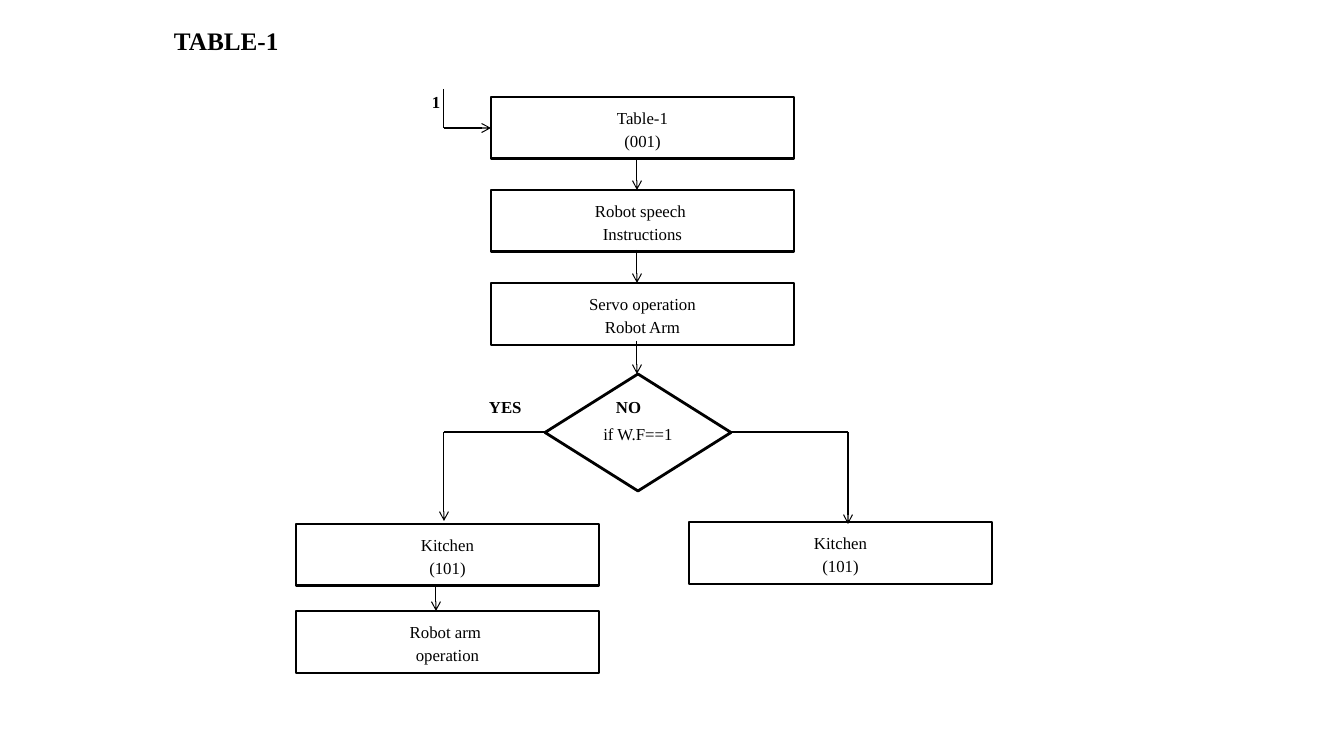
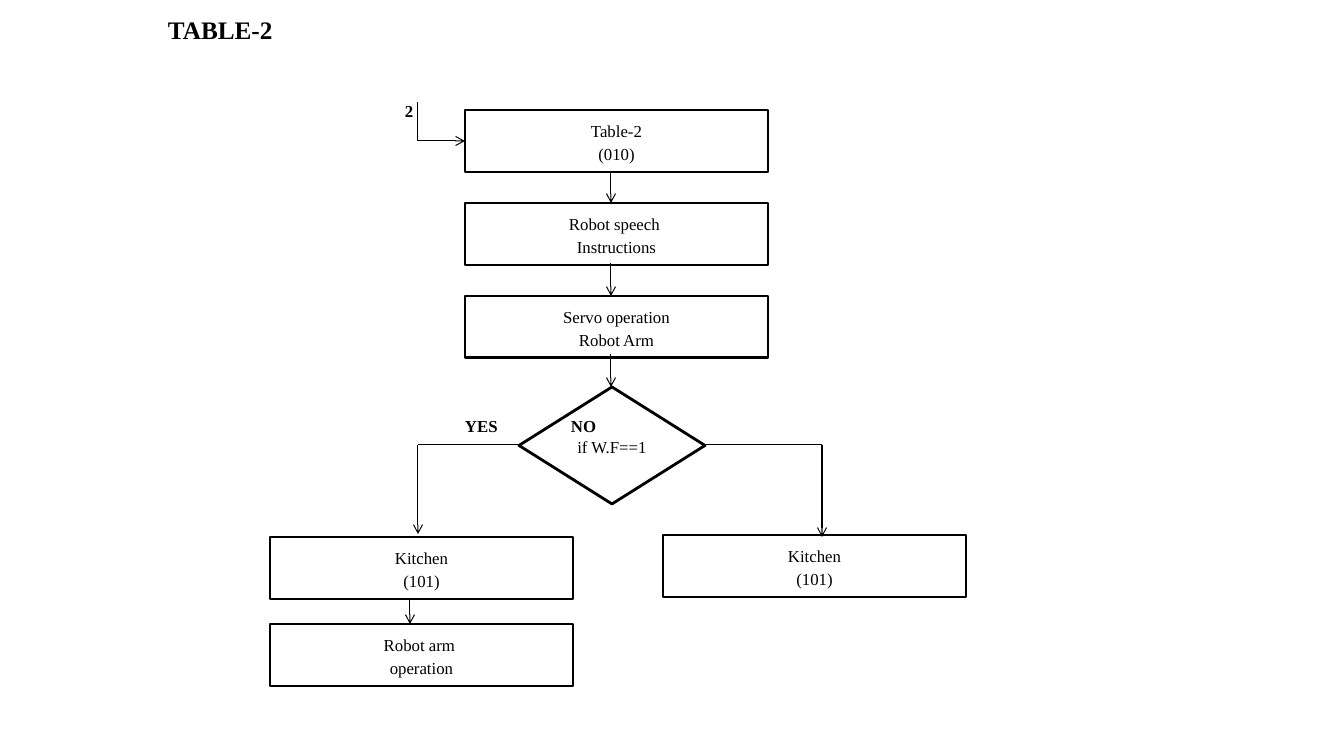
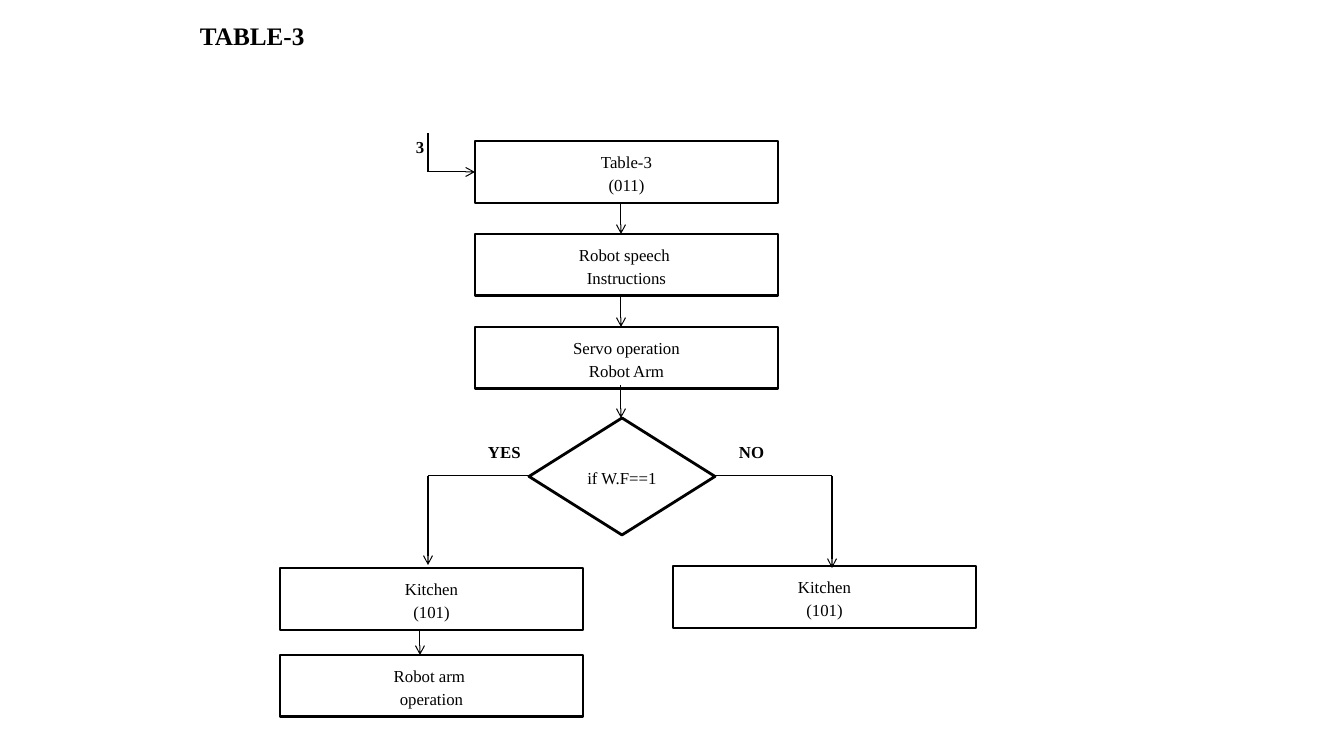
from lxml import etree
from pptx import Presentation
from pptx.dml.color import RGBColor
from pptx.enum.shapes import MSO_CONNECTOR, MSO_SHAPE
from pptx.enum.text import MSO_ANCHOR, PP_ALIGN
from pptx.oxml.ns import qn
from pptx.util import Pt

PX = 9071  # EMU in one px, at 100.8 px to the inch
INK, PAPER = "000000", "FFFFFF"
FONT = "Times New Roman"
CENTER, LEFT = PP_ALIGN.CENTER, PP_ALIGN.LEFT
MIDDLE = MSO_ANCHOR.MIDDLE
STRAIGHT = MSO_CONNECTOR.STRAIGHT
PROCESS, DECISION = MSO_SHAPE.RECTANGLE, MSO_SHAPE.FLOWCHART_DECISION

BOX_W, BOX_H, STEP = 303, 62, 93
DIAMOND_W, DIAMOND_H = 186, 117
LABEL_W, LABEL_H = 45, 19
TITLE_W, TITLE_H = 125, 28

# Chart coordinates are relative to the top left corner of the first box.
ENTRY_X, ENTRY_Y = -47, 31
TRUNK_X, NO_X, ARM_X = 146, 357, -55
DIAMOND_X, DIAMOND_Y = 54, 277
BRANCH_Y = DIAMOND_Y + DIAMOND_H // 2
YES_BOX_X, YES_BOX_Y = -195, 427
NO_BOX_X, NO_BOX_Y = 198, 425
ARM_Y = 514

ARROWS = [
    (ENTRY_X, ENTRY_Y, 0, ENTRY_Y),
    (TRUNK_X, BOX_H, TRUNK_X, STEP),
    (TRUNK_X, STEP + BOX_H - 2, TRUNK_X, 2 * STEP),
    (TRUNK_X, 2 * STEP + BOX_H - 4, TRUNK_X, DIAMOND_Y),
    (ENTRY_X, BRANCH_Y, ENTRY_X, YES_BOX_Y - 3),
    (NO_X, BRANCH_Y, NO_X, NO_BOX_Y + 2),
    (ARM_X, YES_BOX_Y + BOX_H, ARM_X, ARM_Y),
]
PLAIN_LINES = [
    (ENTRY_X, -8, ENTRY_X, ENTRY_Y),
    (DIAMOND_X + DIAMOND_W, BRANCH_Y, NO_X, BRANCH_Y),
    (ENTRY_X, BRANCH_Y, DIAMOND_X, BRANCH_Y),
]

# Slide coordinates: chart origin, then the left and top of each label.
TABLES = [
    dict(number="1", code="(001)", origin=(491, 97), title=(174, 26),
         entry=(432, 92), yes=(489, 397), no=(616, 397)),
    dict(number="2", code="(010)", origin=(465, 110), title=(168, 15),
         entry=(405, 101), yes=(465, 416), no=(571, 416)),
    dict(number="3", code="(011)", origin=(475, 141), title=(200, 21),
         entry=(416, 137), yes=(488, 442), no=(739, 442)),
]


def write_text(shape, lines, size=12, bold=False, align=LEFT, spacing=1.0,
               after=0, wrap=False, margin=None):
    frame = shape.text_frame
    frame.word_wrap = wrap
    frame.vertical_anchor = MIDDLE
    if margin is not None:
        frame.margin_left = frame.margin_right = margin
        frame.margin_top = frame.margin_bottom = margin
    for index, line in enumerate(lines):
        paragraph = frame.add_paragraph() if index else frame.paragraphs[0]
        paragraph.alignment = align
        paragraph.line_spacing = spacing
        paragraph.space_after = Pt(after)
        run = paragraph.add_run()
        run.text = line
        run.font.name = FONT
        run.font.size = Pt(size)
        run.font.bold = bold
        run.font.color.rgb = RGBColor.from_string(INK)


deck = Presentation()
deck.slide_width, deck.slide_height = 1344 * PX, 756 * PX
blank = deck.slide_layouts[6]

for table in TABLES:
    slide = deck.slides.add_slide(blank)
    origin_x, origin_y = table["origin"]

    nodes = [
        (DECISION, DIAMOND_X, DIAMOND_Y, ["if W.F==1"]),
        (PROCESS, 0, 0, ["Table-" + table["number"], table["code"]]),
        (PROCESS, 0, STEP, ["Robot speech ", "Instructions"]),
        (PROCESS, 0, 2 * STEP, ["Servo operation", "Robot Arm"]),
        (PROCESS, YES_BOX_X, YES_BOX_Y, ["Kitchen", "(101)"]),
        (PROCESS, NO_BOX_X, NO_BOX_Y, ["Kitchen", "(101)"]),
        (PROCESS, YES_BOX_X, ARM_Y, ["Robot arm ", "operation"]),
    ]
    for kind, x, y, lines in nodes:
        is_decision = kind == DECISION
        width, height = (DIAMOND_W, DIAMOND_H) if is_decision else (BOX_W, BOX_H)
        node = slide.shapes.add_shape(
            kind, (origin_x + x) * PX, (origin_y + y) * PX, width * PX, height * PX)
        node.shadow.inherit = False
        node.fill.solid()
        node.fill.fore_color.rgb = RGBColor.from_string(PAPER)
        node.line.color.rgb = RGBColor.from_string(INK)
        node.line.width = Pt(2)
        write_text(node, lines, align=CENTER, spacing=1.15,
                   after=10 if is_decision else 0, wrap=True)

    for x1, y1, x2, y2 in PLAIN_LINES + ARROWS:
        flow = slide.shapes.add_connector(
            STRAIGHT, (origin_x + x1) * PX, (origin_y + y1) * PX,
            (origin_x + x2) * PX, (origin_y + y2) * PX)
        flow.line.color.rgb = RGBColor.from_string(INK)
        flow.line.width = Pt(0.75)
        properties = flow.element.spPr
        if (x1, y1, x2, y2) in ARROWS:
            etree.SubElement(properties.find(qn("a:ln")), qn("a:tailEnd"), type="arrow")
        etree.SubElement(properties, qn("a:effectLst"))

    labels = [
        ("TABLE-" + table["number"], table["title"], TITLE_W, TITLE_H, 18),
        (table["number"], table["entry"], LABEL_W, LABEL_H, 12),
        ("YES", table["yes"], LABEL_W, LABEL_H, 12),
        ("NO", table["no"], LABEL_W, LABEL_H, 12),
    ]
    for text, (x, y), width, height, size in labels:
        label = slide.shapes.add_textbox(x * PX, y * PX, width * PX, height * PX)
        write_text(label, [text], size=size, bold=True, wrap=True, margin=0)

deck.save("out.pptx")
